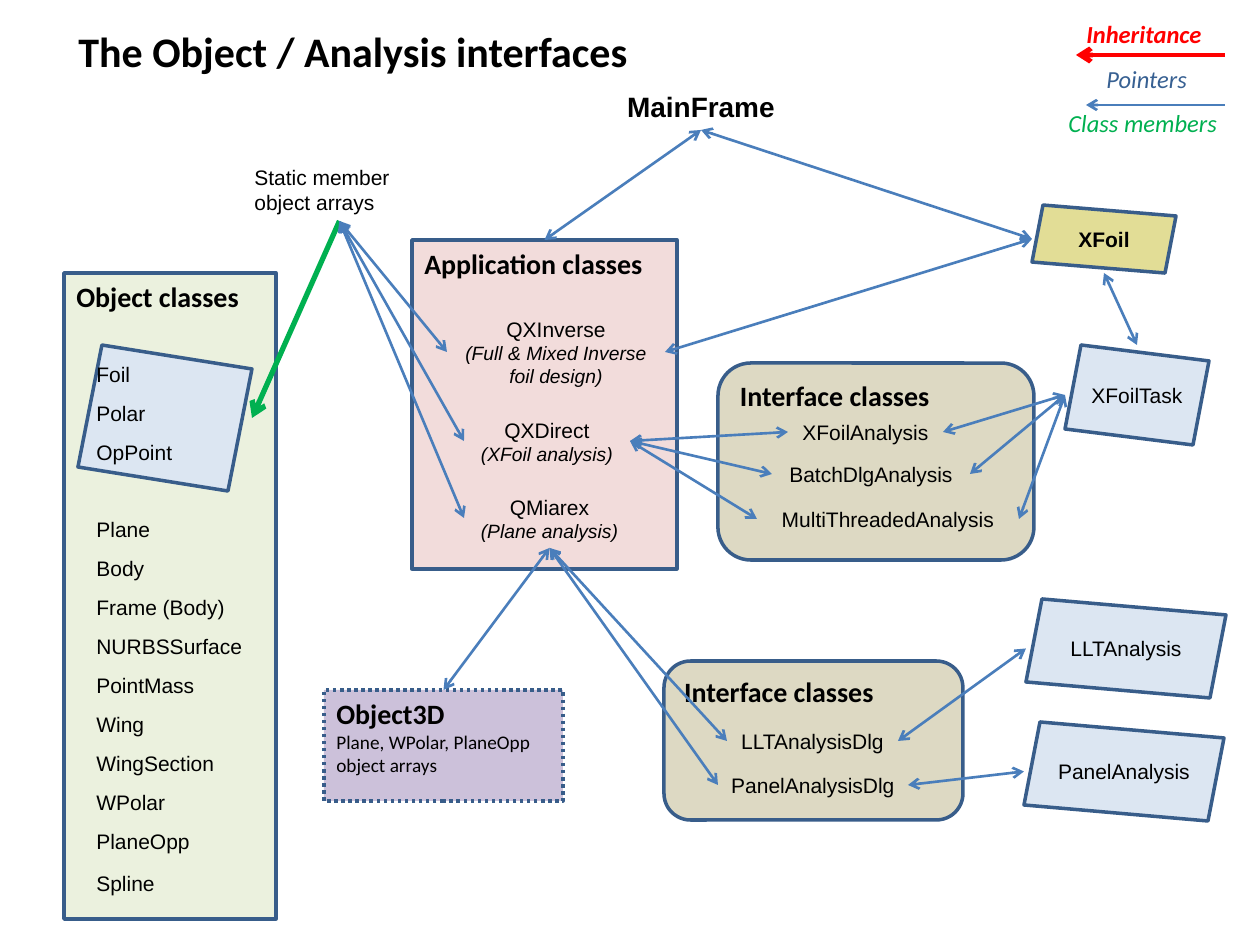
import lxml.etree
import pptx
import pptx.dml.color
import pptx.enum.dml
import pptx.enum.shapes
import pptx.enum.text
import pptx.oxml.ns
import pptx.util

RGBColor = pptx.dml.color.RGBColor
SHAPE = pptx.enum.shapes.MSO_SHAPE
ALIGN = pptx.enum.text.PP_ALIGN
ANCHOR = pptx.enum.text.MSO_ANCHOR
PX = 914400 / 126  # EMU in one px

BLACK = RGBColor(0x00, 0x00, 0x00)
RED = RGBColor(0xFF, 0x00, 0x00)
GREEN = RGBColor(0x00, 0xB0, 0x50)
NAVY = RGBColor(0x37, 0x60, 0x92)
OUTLINE = RGBColor(0x38, 0x5D, 0x8A)
POINTER = RGBColor(0x4A, 0x7E, 0xBB)
PINK = RGBColor(0xF2, 0xDC, 0xDB)
TAN = RGBColor(0xDD, 0xD9, 0xC3)
MINT = RGBColor(0xEB, 0xF1, 0xDE)
LILAC = RGBColor(0xCC, 0xC1, 0xDA)
OLIVE = RGBColor(0xE2, 0xDD, 0x96)
PALE_BLUE = RGBColor(0xDC, 0xE6, 0xF2)

# font, size, bold, italic, colour
STYLES = {
    "title": ("Calibri", 24, True, False, BLACK),
    "heading": ("Calibri", 16, True, False, BLACK),
    "detail": ("Calibri", 11, False, False, BLACK),
    "frame": ("Arial", 16, True, False, BLACK),
    "name": ("Arial", 12, False, False, BLACK),
    "strong name": ("Arial", 12, True, False, BLACK),
    "note": ("Arial", 11, False, True, BLACK),
    "inheritance": ("Calibri", 14, True, True, RED),
    "pointers": ("Calibri", 14, False, True, NAVY),
    "members": ("Calibri", 14, False, True, GREEN),
}

# key, preset, (left, top, width, height), fill, paragraphs
PANELS = [
    ("application", SHAPE.RECTANGLE, (412, 240, 265, 329), PINK,
     [("Application classes", "heading")]),
    ("plane interface", SHAPE.ROUNDED_RECTANGLE, (664, 661, 299, 159), TAN,
     [("Interface classes", "heading")]),
    ("foil interface", SHAPE.ROUNDED_RECTANGLE, (718, 363, 316, 197), TAN,
     [("Interface classes", "heading")]),
    ("Object3D", SHAPE.RECTANGLE, (324, 690, 239, 111), LILAC,
     [("Object3D", "heading"),
      ("Plane, WPolar, PlaneOpp object arrays", "detail")]),
    ("objects", SHAPE.RECTANGLE, (64, 273, 212, 646), MINT,
     [("Object classes", "heading")]),
]

# key, (left, top, width, height), skew, fill, paragraphs
SKEWED_BOXES = [
    ("XFoil", (1032, 205, 144, 68), 11, OLIVE, [("XFoil", "strong name")]),
    ("XFoilTask", (1065, 345, 144, 100), 16, PALE_BLUE, [("XFoilTask", "name")]),
    ("LLTAnalysis", (1026, 599, 200, 99), 16, PALE_BLUE, [("LLTAnalysis", "name")]),
    ("PanelAnalysis", (1024, 722, 200, 99), 16, PALE_BLUE, [("PanelAnalysis", "name")]),
    ("foil objects", (78, 345, 174, 146), 24, PALE_BLUE, []),
]

# key, (left, top, width, height), paragraphs
CENTRED_LABELS = [
    ("MainFrame", (582, 83, 238, 47), [("MainFrame", "frame")]),
    ("QXInverse", (447, 310, 218, 84),
     [("QXInverse", "name"), ("(Full & Mixed Inverse foil design)", "note")]),
    ("QXDirect", (464, 411, 166, 60),
     [("QXDirect", "name"), ("(XFoil analysis)", "note")]),
    ("QMiarex", (464, 488, 171, 60),
     [("QMiarex", "name"), ("(Plane analysis)", "note")]),
    ("XFoilAnalysis", (788, 413, 155, 38), [("XFoilAnalysis", "name")]),
    ("BatchDlg", (772, 455, 198, 38), [("BatchDlgAnalysis", "name")]),
    ("MultiThreaded", (757, 500, 262, 38), [("MultiThreadedAnalysis", "name")]),
    ("LLTDlg", (727, 722, 171, 38), [("LLTAnalysisDlg", "name")]),
    ("PanelDlg", (718, 766, 190, 38), [("PanelAnalysisDlg", "name")]),
]
ARRAYS_BOX = (242, 158, 195, 63)

UNWRAPPED_LABELS = [
    ((66, 19, 575, 63), "The Object / Analysis interfaces", "title"),
    ((1074, 13, 150, 42), "Inheritance", "inheritance"),
    ((1094, 58, 106, 42), "Pointers", "pointers"),
    ((1056, 102, 174, 42), "Class members", "members"),
]

# top of the list, then (class, width)
OBJECT_LISTS = [
    (355, [("Foil", 95), ("Polar", 86), ("OpPoint", 120)]),
    (510, [("Plane", 83), ("Body", 96), ("Frame (Body)", 169),
           ("NURBSSurface", 180), ("PointMass", 149), ("Wing", 76),
           ("WingSection", 149), ("WPolar", 120), ("PlaneOpp", 136)]),
    (864, [("Spline", 136)]),
]
LIST_LEFT, LIST_PITCH, LIST_HEIGHT = 84, 39, 38

TOP, LEFT, BOTTOM, RIGHT = range(4)
POINTER_LINKS = [
    ("MainFrame", BOTTOM, "application", TOP),
    ("XFoil", LEFT, "MainFrame", BOTTOM),
    ("XFoil", LEFT, "QXInverse", RIGHT),
    ("XFoil", BOTTOM, "XFoilTask", TOP),
    ("XFoilAnalysis", RIGHT, "XFoilTask", LEFT),
    ("BatchDlg", RIGHT, "XFoilTask", LEFT),
    ("MultiThreaded", RIGHT, "XFoilTask", LEFT),
    ("XFoilAnalysis", LEFT, "QXDirect", RIGHT),
    ("BatchDlg", LEFT, "QXDirect", RIGHT),
    ("MultiThreaded", LEFT, "QXDirect", RIGHT),
    ("LLTDlg", LEFT, "QMiarex", BOTTOM),
    ("PanelDlg", LEFT, "QMiarex", BOTTOM),
    ("Object3D", TOP, "QMiarex", BOTTOM),
    ("PanelAnalysis", LEFT, "PanelDlg", RIGHT),
    ("LLTAnalysis", LEFT, "LLTDlg", RIGHT),
    ("arrays", BOTTOM, "QMiarex", LEFT),
    ("arrays", BOTTOM, "QXDirect", LEFT),
    ("arrays", BOTTOM, "QXInverse", LEFT),
]


def emu(*lengths):
    return [round(length * PX) for length in lengths]


def write(shape, paragraphs, align=ALIGN.LEFT, anchor=ANCHOR.TOP, wrap=True):
    frame = shape.text_frame
    frame.word_wrap = wrap
    frame.vertical_anchor = anchor
    for index, (text, style) in enumerate(paragraphs):
        para = frame.add_paragraph() if index else frame.paragraphs[0]
        para.text, para.alignment = text, align
        font = para.font
        font.name, size, font.bold, font.italic, font.color.rgb = STYLES[style]
        font.size = pptx.util.Pt(size)


def paint(shape, fill):
    shape.shadow.inherit = False
    shape.fill.solid()
    shape.fill.fore_color.rgb = fill
    shape.line.color.rgb = OUTLINE
    shape.line.width = pptx.util.Pt(2)


def add_label(slide, box, paragraphs, **layout):
    label = slide.shapes.add_textbox(*emu(*box))
    write(label, paragraphs, **layout)
    return label


def add_skewed_box(slide, box, skew):
    left, top, width, height = box
    right, bottom = left + width, top + height
    builder = slide.shapes.build_freeform(left + skew, top, scale=PX)
    builder.add_line_segments([(left, bottom - skew), (right - skew, bottom),
                               (right, top + skew)])
    return builder.convert_to_shape()


def side_middle(shape, side):
    across = {LEFT: 0, RIGHT: 1}.get(side, 0.5)
    down = {TOP: 0, BOTTOM: 1}.get(side, 0.5)
    return (round(shape.left + across * shape.width),
            round(shape.top + down * shape.height))


def add_arrow(slide, start, end, color, width, ends=("tailEnd",)):
    arrow = slide.shapes.add_connector(
        pptx.enum.shapes.MSO_CONNECTOR.STRAIGHT, *start, *end)
    arrow.line.color.rgb = color
    arrow.line.width = pptx.util.Pt(width)
    line = arrow.line._get_or_add_ln()
    for name in ends:
        lxml.etree.SubElement(line, pptx.oxml.ns.qn("a:" + name), type="arrow")
    lxml.etree.SubElement(line.getparent(), pptx.oxml.ns.qn("a:effectLst"))
    return arrow


def add_link(slide, shapes, link, color=POINTER, width=1.5, ends=("headEnd", "tailEnd")):
    """Join two side middles; only preset shapes have sites to be glued to."""
    first, first_side, last, last_side = link
    start, end = shapes[first], shapes[last]
    arrow = add_arrow(slide, side_middle(start, first_side),
                      side_middle(end, last_side), color, width, ends)
    skewed = {row[0] for row in SKEWED_BOXES}
    if first not in skewed:
        arrow.begin_connect(start, first_side)
    if last not in skewed:
        arrow.end_connect(end, last_side)


def main():
    deck = pptx.Presentation()
    deck.slide_width, deck.slide_height = emu(1260, 945)
    slide = deck.slides.add_slide(deck.slide_layouts[6])
    shapes = {}
    for key, preset, box, fill, paragraphs in PANELS:
        shapes[key] = slide.shapes.add_shape(preset, *emu(*box))
        paint(shapes[key], fill)
        write(shapes[key], paragraphs)
    shapes["Object3D"].line.dash_style = pptx.enum.dml.MSO_LINE.ROUND_DOT
    for key, box, skew, fill, paragraphs in SKEWED_BOXES:
        shapes[key] = add_skewed_box(slide, box, skew)
        paint(shapes[key], fill)
        write(shapes[key], paragraphs, ALIGN.CENTER, ANCHOR.MIDDLE)
    for key, box, paragraphs in CENTRED_LABELS:
        shapes[key] = add_label(slide, box, paragraphs, align=ALIGN.CENTER)
    shapes["arrays"] = add_label(slide, ARRAYS_BOX,
                                 [("Static member object arrays", "name")],
                                 anchor=ANCHOR.MIDDLE)
    for box, text, style in UNWRAPPED_LABELS:
        add_label(slide, box, [(text, style)], wrap=False)
    for top, classes in OBJECT_LISTS:
        for row, (name, width) in enumerate(classes):
            box = (LIST_LEFT, top + row * LIST_PITCH, width, LIST_HEIGHT)
            add_label(slide, box, [(name, "name")], anchor=ANCHOR.MIDDLE)

    add_arrow(slide, emu(1225, 55), emu(1076, 55), RED, 2.75)
    add_arrow(slide, emu(1225, 105), emu(1086, 105), POINTER, 1.5)
    add_link(slide, shapes, ("arrays", BOTTOM, "foil objects", RIGHT),
             GREEN, 3, ("tailEnd",))
    for link in POINTER_LINKS:
        add_link(slide, shapes, link)
    deck.save("out.pptx")


if __name__ == "__main__":
    main()
